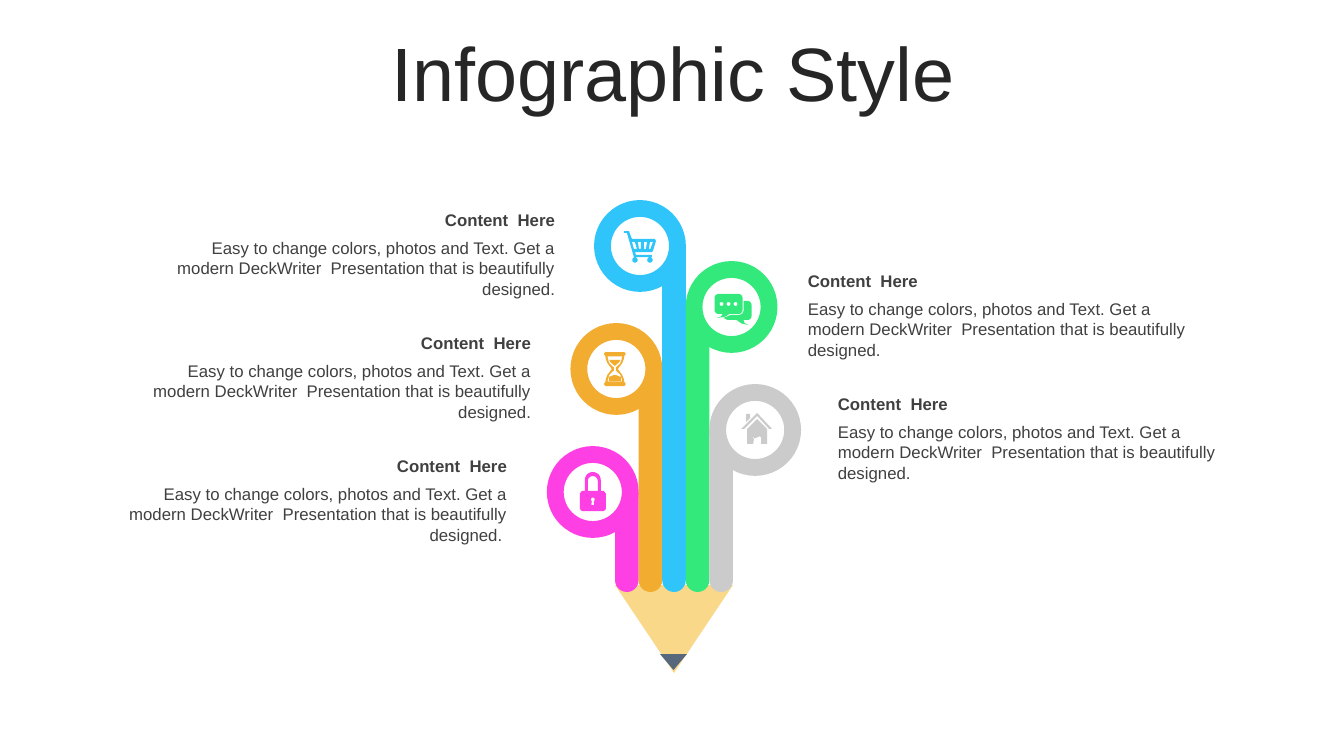
from math import cos, radians, sin

from lxml.etree import SubElement
from pptx import Presentation
from pptx.dml.color import RGBColor
from pptx.enum.shapes import MSO_SHAPE
from pptx.enum.text import MSO_ANCHOR, MSO_AUTO_SIZE, PP_ALIGN
from pptx.oxml.ns import qn
from pptx.util import Pt


def arc(cx, cy, radius, start, end):
    return [(round(cx + radius * cos(radians(a))), round(cy + radius * sin(radians(a))))
            for a in range(start, end + 1, 15)]


def circle(cx, cy, radius):
    return arc(cx, cy, radius, 0, 345)


def mirror(axis, half):
    return half + [(2 * axis - x, y) for x, y in reversed(half)]


COLORS = {
    "white": "FFFFFF", "title": "262626", "text": "404040", "wood": "F5B317", "lead": "57687C",
    "pink": "FE3FE4", "orange": "F2AC30", "blue": "2FC5FA", "green": "33E97C", "gray": "CBCBCB",
}
TITLE = "Infographic Style"
HEADING = "Content  Here"
DETAIL = ("Easy to change colors, photos and Text. Get a modern DeckWriter  "
          "Presentation that is beautifully designed.")

LOCK = [
    arc(0, -120, 80, 180, 360)
    + [(80, -10), (110, -10), (130, 15), (130, 170), (110, 190),
       (-110, 190), (-130, 170), (-130, 15), (-110, -10), (-80, -10)],
    arc(0, -110, 50, 180, 360) + [(50, -10), (-50, -10)],
    arc(0, 75, 20, 120, 420) + [(15, 130), (-15, 130)],
]
HOURGLASS = [
    mirror(-15, [(80, -170), (95, -150), (80, -130), (75, -100), (60, -60), (15, 0),
                 (60, 60), (75, 100), (80, 130), (95, 150), (80, 170)]),
    mirror(-15, [(58, -125), (52, -90), (38, -55), (-5, -15),
                 (-5, 15), (38, 55), (52, 90), (58, 125)]),
    mirror(-15, [(40, -90), (30, -70), (-15, -30)]),
    mirror(-15, [(0, 62), (45, 80), (45, 118)]),
]
CART = [
    [(-110, -150), (-80, -70), (150, -70), (160, -50), (130, 50), (120, 60), (-50, 60),
     (-40, 90), (120, 90), (120, 110), (-60, 110), (-130, -130), (-160, -130), (-160, -150)],
    [(100, -40), (90, 30), (105, 30), (130, -40)],
    [(40, -40), (40, 30), (60, 30), (70, -40)],
    [(-20, -40), (-10, 30), (10, 30), (10, -40)],
    [(-80, -40), (-60, 30), (-30, 30), (-50, -40)],
    circle(100, 140, 27),
    circle(-50, 140, 27),
]
CHAT = [
    arc(-130, -90, 40, 180, 270) + arc(70, -90, 40, 270, 360) + arc(70, 30, 40, 0, 90)
    + [(-20, 70), (-70, 100), (-150, 110), (-105, 95), (-90, 70)] + arc(-130, 30, 40, 90, 180),
    [(120, -60)] + arc(160, -20, 40, 270, 360) + arc(160, 90, 40, 0, 90)
    + [(120, 130), (130, 160), (170, 180), (100, 165), (50, 130), (-40, 130), (-80, 110), (-10, 80)]
    + [(80, 80), (110, 65), (120, 40)],
    circle(-100, -30, 20),
    circle(-30, -30, 20),
    circle(40, -30, 20),
]
HOUSE = [
    [(20, -110), (120, -10), (120, 140), (60, 140)] + arc(20, 90, 40, -45, 0)[::-1]
    + arc(20, 90, 40, 180, 225) + [(-20, 140), (-80, 140), (-80, -10)],
    [(-90, -160), (-50, -160), (-50, -120), (-90, -80)],
    [(20, -170), (170, -10), (140, -10), (20, -140), (-110, -10), (-140, -10)],
]

STEMS = [
    ("pink", 492, "left", 93, LOCK, DETAIL + " "),
    ("orange", 369, "left", 117, HOURGLASS, DETAIL),
    ("blue", 246, "left", 141, CART, DETAIL),
    ("green", 307, "right", 798, CHAT, DETAIL),
    ("gray", 430, "right", 828, HOUSE, DETAIL),
]

PX = 914400 / 100.8
PENCIL_LEFT, PENCIL_WIDTH, STEM_BOTTOM = 615, 118, 592
RING_SIZE, RING_REACH = 75, 34
TEXT_WIDTH, HEADING_RISE, DETAIL_DROP = 424, 41, 28


def emu(*lengths):
    return [round(length * PX) for length in lengths]


def paint(shape, color):
    shape.shadow.inherit = False
    shape.fill.solid()
    shape.fill.fore_color.rgb = RGBColor.from_string(COLORS[color])
    shape.line.fill.background()
    return shape


def add_part(slide, preset, box, color, rotation=0):
    part = paint(slide.shapes.add_shape(preset, *emu(*box)), color)
    part.rotation = rotation
    return part


def style(paragraph, size, color, align, bold=False):
    paragraph.alignment = align
    paragraph.font.name = "Arial"
    paragraph.font.size = Pt(size)
    paragraph.font.bold = bold
    paragraph.font.color.rgb = RGBColor.from_string(COLORS[color])


def add_text(slide, words, box, side, anchor, bold):
    frame = slide.shapes.add_textbox(*emu(*box)).text_frame
    frame.word_wrap = True
    frame.auto_size = MSO_AUTO_SIZE.SHAPE_TO_FIT_TEXT
    frame.vertical_anchor = anchor
    frame.text = words
    align = PP_ALIGN.RIGHT if side == "left" else PP_ALIGN.LEFT
    style(frame.paragraphs[0], 12, "text", align, bold)


def add_icon(slide, outlines, center, color):
    first, *others = outlines
    builder = slide.shapes.build_freeform(*first[0], scale=PX / 10)
    builder.add_line_segments(first[1:], close=True)
    for outline in others:
        builder.move_to(*outline[0])
        builder.add_line_segments(outline[1:], close=True)
    paint(builder.convert_to_shape(*emu(*center)), color)


def add_title(slide):
    title = slide.shapes.title
    title.left, title.top, title.width, title.height = emu(35, 37, 1276, 80)
    title.text_frame.text = TITLE
    title.text_frame.vertical_anchor = MSO_ANCHOR.MIDDLE
    heading = title.text_frame.paragraphs[0]
    heading.line_spacing = 0.9
    style(heading, 54, "title", PP_ALIGN.CENTER)


def add_tip(slide):
    wood = add_part(slide, MSO_SHAPE.TRAPEZOID, (PENCIL_LEFT, 585, PENCIL_WIDTH, 88), "wood", 180)
    wood.adjustments[0] = 0.79
    tint = wood.fill._xPr.find(qn("a:solidFill"))[0]
    SubElement(tint, qn("a:alpha"), val="50000")
    add_part(slide, MSO_SHAPE.ISOSCELES_TRIANGLE, (660, 654, 27, 16), "lead", 180)


def add_stem(slide, index, color, ring_y, side, text_left, icon, detail):
    width = PENCIL_WIDTH / len(STEMS)
    left = PENCIL_LEFT + index * width
    stem = add_part(slide, MSO_SHAPE.ROUND_2_SAME_RECTANGLE,
                    (left, ring_y, width, STEM_BOTTOM - ring_y), color, 180)
    stem.adjustments[0], stem.adjustments[1] = 0.5, 0

    ring_x = left + width / 2 + (-RING_REACH if side == "left" else RING_REACH)
    ring = add_part(slide, MSO_SHAPE.OVAL,
                    (ring_x - RING_SIZE / 2, ring_y - RING_SIZE / 2, RING_SIZE, RING_SIZE), "white")
    ring.line.color.rgb = RGBColor.from_string(COLORS[color])
    ring.line.width = Pt(12)
    add_icon(slide, icon, (ring_x, ring_y), color)

    top = ring_y - HEADING_RISE
    add_text(slide, HEADING, (text_left, top, TEXT_WIDTH, 30), side, MSO_ANCHOR.MIDDLE, True)
    add_text(slide, detail, (text_left, top + DETAIL_DROP, TEXT_WIDTH, 50), side, MSO_ANCHOR.TOP, False)


def main():
    deck = Presentation()
    deck.slide_width, deck.slide_height = emu(1344, 756)
    slide = deck.slides.add_slide(deck.slide_layouts[5])
    add_title(slide)
    add_tip(slide)
    for index, stem in enumerate(STEMS):
        add_stem(slide, index, *stem)
    deck.save("out.pptx")


if __name__ == "__main__":
    main()
